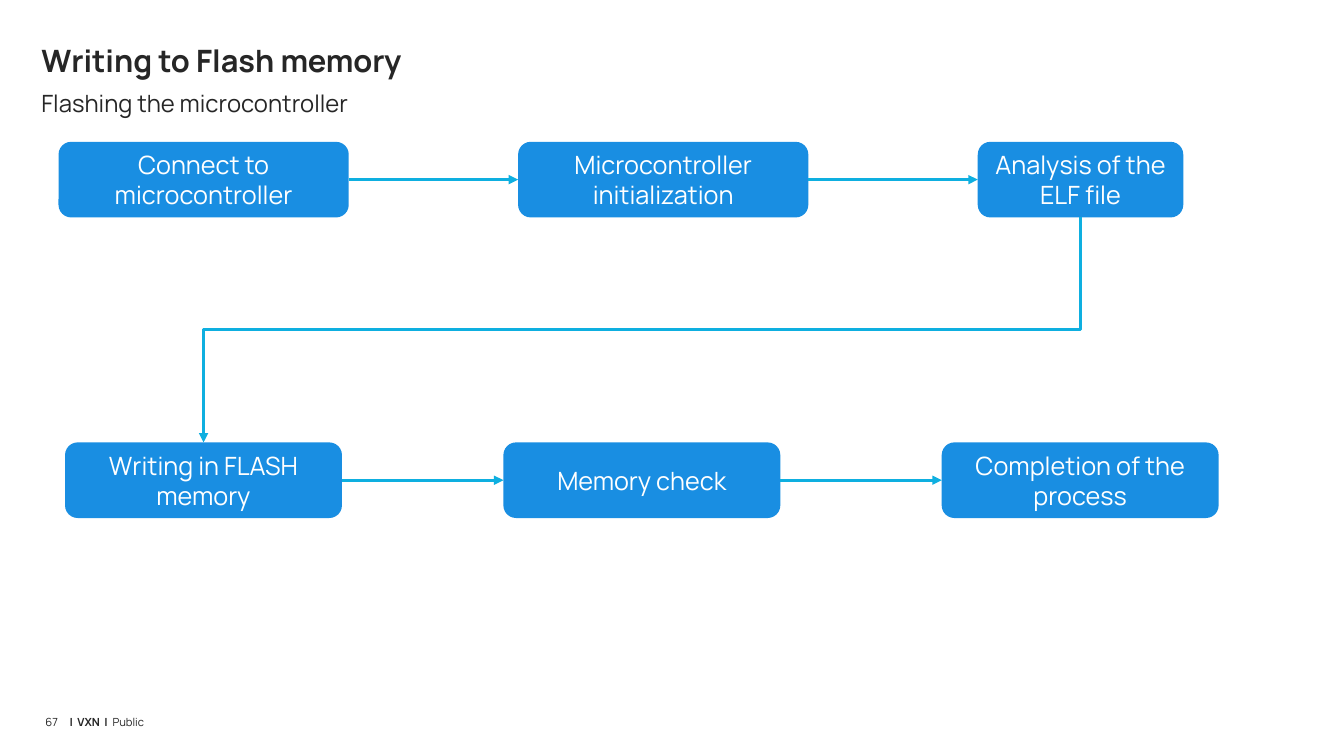
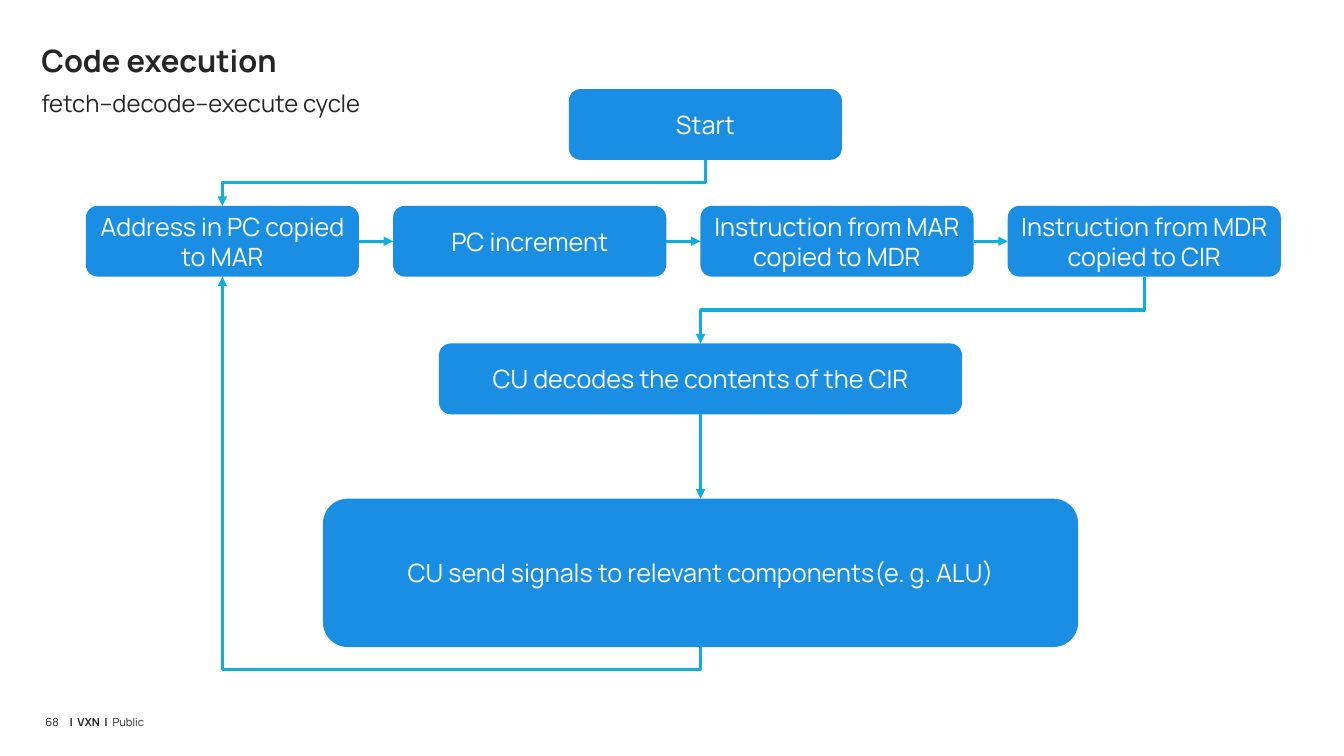
from pptx import Presentation
from pptx.dml.color import RGBColor
from pptx.enum.shapes import MSO_CONNECTOR, MSO_SHAPE
from pptx.enum.text import MSO_ANCHOR, MSO_AUTO_SIZE, PP_ALIGN
from pptx.oxml.ns import qn
from pptx.util import Pt
from lxml import etree

LEFT, CENTER = PP_ALIGN.LEFT, PP_ALIGN.CENTER
TOP_ANCHOR, MIDDLE = MSO_ANCHOR.TOP, MSO_ANCHOR.MIDDLE
NO_FIT = MSO_AUTO_SIZE.NONE
ROUNDED = MSO_SHAPE.ROUNDED_RECTANGLE
STRAIGHT, ELBOW = MSO_CONNECTOR.STRAIGHT, MSO_CONNECTOR.ELBOW
# Connection sites of a rounded rectangle
TOP, LEFT_SIDE, BOTTOM, RIGHT_SIDE = range(4)

FONT = "Manrope"
COLORS = {"text": "262626", "box": "198EE2", "arrow": "0EAFE0", "white": "FFFFFF"}


def color(name):
    return RGBColor.from_string(COLORS[name])


def write(tf, *runs, size, fill="text", bold=False, align=LEFT,
          anchor=TOP_ANCHOR, margins=(0, 0), line=None):
    """Write runs, given as text or (text, bold), into one paragraph."""
    tf.word_wrap = True
    tf.auto_size = NO_FIT
    tf.vertical_anchor = anchor
    tf.margin_left = tf.margin_right = Pt(margins[0])
    tf.margin_top = tf.margin_bottom = Pt(margins[1])
    p = tf.paragraphs[0]
    p.alignment = align
    if line:
        p.line_spacing = Pt(line)
    for run in runs:
        text, heavy = (run, bold) if isinstance(run, str) else run
        r = p.add_run()
        r.text = text
        r.font.name, r.font.size, r.font.bold = FONT, Pt(size), heavy
        r.font.color.rgb = color(fill)


class Deck:
    def __init__(self):
        self.prs = Presentation()
        self.prs.slide_width, self.prs.slide_height = Pt(960), Pt(540)
        self.s = None

    def slide(self, title, subtitle, number):
        """Start a slide with its title, subtitle and footer."""
        self.s = self.prs.slides.add_slide(self.prs.slide_layouts[5])
        sp = self.s.shapes.title
        sp.left, sp.top, sp.width, sp.height = Pt(29.5), Pt(29.5), Pt(900), Pt(31.7)
        write(sp.text_frame, title, size=22, bold=True)
        self.text(29.5, 63.4, 900, 35.3, subtitle, size=17)
        self.text(49.7, 504, 320, 13.7, ("|  VXN  |  ", True), "Public",
                  size=8, line=16.8)
        self.text(32.4, 504, 13, 13.7, number, size=8, line=16.8)

    def text(self, x, y, w, h, *runs, **fmt):
        sp = self.s.shapes.add_textbox(Pt(x), Pt(y), Pt(w), Pt(h))
        write(sp.text_frame, *runs, **fmt)

    def box(self, x, y, w, h, text):
        sp = self.s.shapes.add_shape(ROUNDED, Pt(x), Pt(y), Pt(w), Pt(h))
        sp.shadow.inherit = False
        sp.fill.solid()
        sp.fill.fore_color.rgb = color("box")
        sp.line.fill.background()
        write(sp.text_frame, text, size=18, fill="white", align=CENTER,
              anchor=MIDDLE, margins=(7.2, 5))
        return sp

    def row(self, x, y, h, gap, steps):
        """Place (text, width) steps left to right, joined by arrows."""
        boxes = []
        for text, w in steps:
            boxes.append(self.box(x, y, w, h, text))
            x += w + gap
        for start, end in zip(boxes, boxes[1:]):
            self.arrow(start, RIGHT_SIDE, end, LEFT_SIDE)
        return boxes

    def arrow(self, start, start_site, end, end_site, kind=STRAIGHT):
        c = self.s.shapes.add_connector(kind, 0, 0, 0, 0)
        c.begin_connect(start, start_site)
        c.end_connect(end, end_site)
        c.line.color.rgb = color("arrow")
        c.line.width = Pt(2.25)
        etree.SubElement(c.line._get_or_add_ln(), qn("a:tailEnd"), type="triangle")
        etree.SubElement(c._element.spPr, qn("a:effectLst"))
        return c

    def elbow(self, start, end, end_site=TOP, bend=0.5):
        """Leave the bottom of start, turn at the bend, enter end vertically."""
        c = self.arrow(start, BOTTOM, end, end_site, ELBOW)
        dx, dy = c.end_x - c.begin_x, c.end_y - c.begin_y
        mid_x, mid_y = (c.begin_x + c.end_x) // 2, (c.begin_y + c.end_y) // 2
        # A quarter turn swaps width and height about the centre
        c.width, c.height = abs(dy), abs(dx)
        c.left, c.top = mid_x - abs(dy) // 2, mid_y - abs(dx) // 2
        spPr = c._element.spPr
        xfrm = spPr.find(qn("a:xfrm"))
        xfrm.set("rot", "5400000")
        xfrm.set("flipH", str(int(dy < 0)))
        xfrm.set("flipV", str(int(dx > 0)))
        geom = spPr.find(qn("a:prstGeom"))
        av = geom.find(qn("a:avLst"))
        if av is None:
            av = etree.SubElement(geom, qn("a:avLst"))
        etree.SubElement(av, qn("a:gd"), name="adj1", fmla=f"val {round(bend * 100000)}")


def flash_slide(deck):
    deck.slide("Writing to Flash memory", "Flashing the microcontroller", "67")
    prepare = deck.row(41.8, 101.3, 54, 121, [
        ("Connect to microcontroller", 207.3),
        ("Microcontroller initialization", 207.3),
        ("Analysis of the ELF file", 146.8)])
    finish = deck.row(46.5, 316, 54, 115.3, [
        (text, 197.8) for text in (
            "Writing in FLASH memory", "Memory check", "Completion of the process")])
    deck.elbow(prepare[-1], finish[0])


def cycle_slide(deck):
    deck.slide("Code execution", "fetch–decode–execute cycle", "68")
    w, h = 195.1, 50.6
    start = deck.box(406.3, 63.6, w, h, "Start")
    fetch = deck.row(61.3, 147, h, 24.4, [(text, w) for text in (
        "Address in PC copied to MAR", "PC increment",
        "Instruction from MAR copied to MDR", "Instruction from MDR copied to CIR")])
    decode = deck.box(313.6, 245.3, 373.6, h, "CU decodes the contents of the CIR")
    execute = deck.box(230.7, 356.2, 539.4, 106,
                       "CU send signals to relevant components(e. g. ALU)")
    deck.elbow(start, fetch[0])
    deck.elbow(fetch[-1], decode)
    deck.arrow(decode, BOTTOM, execute, TOP)
    # Loop back to the first step below the last box
    deck.elbow(execute, fetch[0], end_site=BOTTOM, bend=-0.06)


def main():
    deck = Deck()
    flash_slide(deck)
    cycle_slide(deck)
    deck.prs.save("out.pptx")


if __name__ == "__main__":
    main()
